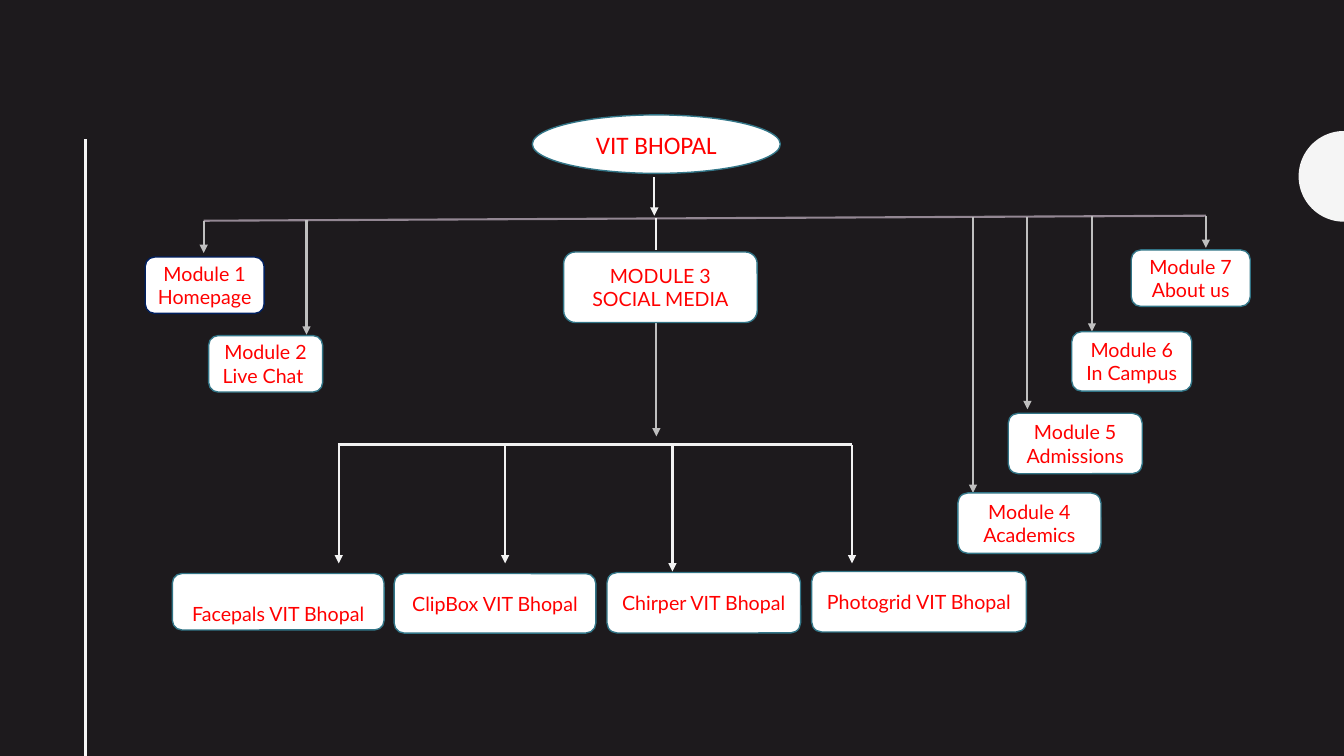
from math import cos, pi, sin

from lxml.etree import SubElement
from pptx import Presentation
from pptx.dml.color import RGBColor
from pptx.enum.shapes import MSO_CONNECTOR, MSO_SHAPE
from pptx.enum.text import MSO_ANCHOR, PP_ALIGN
from pptx.oxml.ns import qn
from pptx.util import Inches, Pt

DARK = RGBColor(0x1D, 0x1A, 0x1D)
WHITE = RGBColor(0xFF, 0xFF, 0xFF)
PALE = RGBColor(0xF5, 0xF5, 0xF5)
LIGHT = RGBColor(0xF2, 0xF2, 0xF2)
GREY = RGBColor(0xBF, 0xBF, 0xBF)
MAUVE = RGBColor(0x93, 0x87, 0x93)
TEAL = RGBColor(0x32, 0x75, 0x87)
NAVY = RGBColor(0x00, 0x20, 0x60)
RED = RGBColor(0xFF, 0x00, 0x00)

COLS, ROWS = 13.33, 7.5
LEFT, RIGHT = 2.02, 11.96
BUS = 4.41


class Chart:
    font = "Lato"
    size = 14

    def __init__(self, deck):
        self.wide, self.high = deck.slide_width, deck.slide_height
        self.slide = deck.slides.add_slide(deck.slide_layouts[6])
        self.slide.background.fill.solid()
        self.slide.background.fill.fore_color.rgb = DARK
        self.shapes = self.slide.shapes

    def col(self, count):
        return round(self.wide * count / COLS)

    def row(self, count):
        return round(self.high * count / ROWS)

    def line(self, x1, y1, x2, y2, color=LIGHT, width=1.5, arrow=False):
        link = self.shapes.add_connector(
            MSO_CONNECTOR.STRAIGHT,
            self.col(x1), self.row(y1), self.col(x2), self.row(y2))
        link.line.color.rgb = color
        link.line.width = Pt(width)
        if arrow:
            SubElement(link.line._get_or_add_ln(), qn("a:tailEnd"), type="triangle")
        SubElement(link._element.spPr, qn("a:effectLst"))

    def drop(self, x, top, end, color=LIGHT, arrow=True):
        self.line(x, top, x, end, color, arrow=arrow)

    def node(self, text, x, y, w, h, edge=TEAL, kind=MSO_SHAPE.ROUNDED_RECTANGLE,
             font=font, size=size, inset=0.05):
        box = self.shapes.add_shape(
            kind, self.col(x), self.row(y), self.col(w), self.row(h))
        box.shadow.inherit = False
        box.fill.solid()
        box.fill.fore_color.rgb = WHITE
        box.line.color.rgb = edge
        box.line.width = Pt(1)
        frame = box.text_frame
        frame.word_wrap = True
        frame.vertical_anchor = MSO_ANCHOR.MIDDLE
        frame.margin_left = frame.margin_right = self.col(0.05)
        frame.margin_top = self.row(inset)
        frame.text = text
        for para in frame.paragraphs:
            para.alignment = PP_ALIGN.CENTER
            para.font.name = font
            para.font.size = Pt(size)
            para.font.color.rgb = RED

    def dome(self, x, y, r, steps=48):
        turns = [pi / 2 + pi * i / steps for i in range(steps + 1)]
        rim = [(self.col(x + r * cos(t)), self.row(y - r * sin(t))) for t in turns]
        path = self.shapes.build_freeform(*rim[0])
        path.add_line_segments(rim[1:])
        half = path.convert_to_shape()
        half.shadow.inherit = False
        half.fill.solid()
        half.fill.fore_color.rgb = PALE
        half.line.fill.background()


def slope(x):
    return 2.19 - 0.05 * (x - LEFT) / (RIGHT - LEFT)


def main():
    deck = Presentation()
    deck.slide_width, deck.slide_height = Inches(COLS), Inches(ROWS)
    chart = Chart(deck)

    chart.dome(COLS, 1.75, 0.45)
    chart.line(0.85, 1.38, 0.85, ROWS, PALE, 2)
    chart.node("VIT BHOPAL", 5.28, 1.14, 2.46, 0.58,
               kind=MSO_SHAPE.OVAL, font="Calibri", size=18)
    chart.drop(6.49, 1.76, 2.14)
    chart.line(LEFT, slope(LEFT), RIGHT, slope(RIGHT), MAUVE)

    modules = [
        ("Module 1\nHomepage", 1.44, 2.55, 1.18, 0.56, NAVY, LEFT, 2.51),
        ("Module 2\nLive Chat ", 2.07, 3.33, 1.13, 0.56, TEAL, 3.04, 3.32),
        ("Module 4\nAcademics", 9.5, 4.89, 1.42, 0.6, TEAL, 9.65, 4.89),
        ("Module 5\nAdmissions", 10, 4.1, 1.33, 0.6, TEAL, 10.19, 4.06),
        ("Module 6\nIn Campus", 10.63, 3.29, 1.19, 0.59, TEAL, 10.83, 3.29),
        ("Module 7\nAbout us", 11.22, 2.48, 1.18, 0.56, TEAL, RIGHT, 2.46),
    ]
    for text, x, y, w, h, edge, stem, end in modules:
        chart.drop(stem, slope(stem), end, GREY)
        chart.node(text, x, y, w, h, edge)

    chart.drop(6.51, 3.17, 4.33, GREY)
    chart.node("MODULE 3\nSOCIAL MEDIA", 5.59, 2.5, 1.92, 0.7)
    chart.drop(6.51, slope(6.51), 2.48, arrow=False)

    chart.line(3.35, BUS, 8.45, BUS)
    pages = [
        ("Facepals VIT Bhopal", 1.71, 5.69, 2.1, 0.56, 0.28, 3.36, 5.59),
        ("ClipBox VIT Bhopal", 3.91, 5.69, 2, 0.59, 0.05, 5.01, 5.59),
        ("Chirper VIT Bhopal", 6.02, 5.68, 1.92, 0.6, 0.05, 6.67, 5.67),
        ("Photogrid VIT Bhopal", 8.05, 5.67, 2.13, 0.6, 0.05, 8.45, 5.59),
    ]
    for text, x, y, w, h, inset, stem, end in pages:
        chart.node(text, x, y, w, h, inset=inset)
        chart.drop(stem, BUS, end)

    deck.save("out.pptx")


if __name__ == "__main__":
    main()
